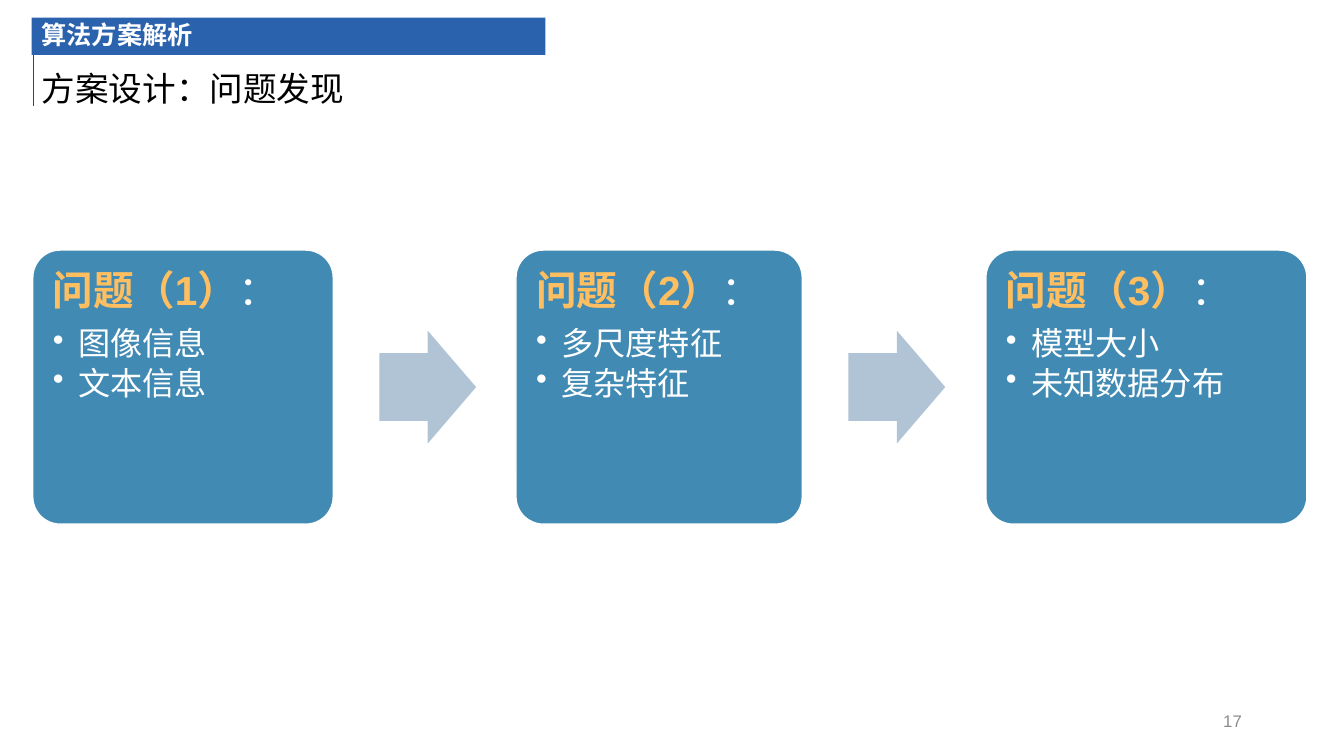
from dataclasses import dataclass

import lxml.etree
import pptx
import pptx.dml.color
import pptx.enum.shapes
import pptx.enum.text
import pptx.oxml.ns
import pptx.util

Pt = pptx.util.Pt
Shapes = pptx.enum.shapes.MSO_SHAPE
Anchor = pptx.enum.text.MSO_ANCHOR
Align = pptx.enum.text.PP_ALIGN
qn = pptx.oxml.ns.qn

LATIN_FONT = "Arial"
CHINESE_FONT = "Noto Sans CJK SC"
WHITE = "FFFFFF"
CARD_TOP, CARD_HEIGHT = 178.6, 195.8
CARD_INSET = 5.75
ARROW_WIDTH, ARROW_HEIGHT = 69.1, 80.6
ARROW_GAP = 33


@dataclass(frozen=True)
class ProblemCard:
    left: float
    width: float
    heading: str
    points: tuple[str, ...]


CARDS = (
    ProblemCard(23.4, 214.6, "问题（1）", ("图像信息", "文本信息")),
    ProblemCard(368.6, 204.5, "问题（2）", ("多尺度特征", "复杂特征")),
    ProblemCard(704.2, 229.3, "问题（3）", ("模型大小", "未知数据分布")),
)


def color(value: str) -> pptx.dml.color.RGBColor:
    return pptx.dml.color.RGBColor.from_string(value)


def add_run(paragraph, text: str, size: float, fill: str,
            bold: bool = False, latin: str = LATIN_FONT) -> None:
    run = paragraph.add_run()
    run.text = text
    run.font.size = Pt(size)
    run.font.bold = bold
    run.font.name = latin
    run.font.color.rgb = color(fill)
    east_asian = lxml.etree.SubElement(run.font._element, qn("a:ea"))
    east_asian.set("typeface", CHINESE_FONT)


def add_block(slide, kind, left: float, top: float, width: float,
              height: float, fill: str, outline: str | None = None):
    shape = slide.shapes.add_shape(kind, Pt(left), Pt(top), Pt(width), Pt(height))
    shape.shadow.inherit = False
    shape.fill.solid()
    shape.fill.fore_color.rgb = color(fill)
    if outline:
        shape.line.color.rgb = color(outline)
        shape.line.width = Pt(1)
    else:
        shape.line.fill.background()
    return shape


def set_frame(shape, anchor, horizontal: float = 7.2, vertical: float = 3.6):
    frame = shape.text_frame
    frame.word_wrap = True
    frame.auto_size = pptx.enum.text.MSO_AUTO_SIZE.NONE
    frame.vertical_anchor = anchor
    frame.margin_left = frame.margin_right = Pt(horizontal)
    frame.margin_top = frame.margin_bottom = Pt(vertical)
    return frame


def add_bullet(paragraph) -> None:
    properties = paragraph._p.get_or_add_pPr()
    properties.set("marL", str(Pt(18)))
    properties.set("indent", str(-Pt(18)))
    lxml.etree.SubElement(properties, qn("a:buChar")).set("char", "•")


def add_card(slide, card: ProblemCard) -> None:
    box = add_block(slide, Shapes.ROUNDED_RECTANGLE, card.left, CARD_TOP,
                    card.width, CARD_HEIGHT, "418AB3", WHITE)
    box.adjustments[0] = 0.1
    label = slide.shapes.add_textbox(
        Pt(card.left + CARD_INSET), Pt(CARD_TOP + CARD_INSET),
        Pt(card.width - 2 * CARD_INSET), Pt(CARD_HEIGHT - 2 * CARD_INSET))
    frame = set_frame(label, Anchor.TOP, 8.6, 8.6)
    heading = frame.paragraphs[0]
    heading.line_spacing = 0.9
    heading.space_after = Pt(10)
    add_run(heading, card.heading, 29, "FFBF61", bold=True)
    add_run(heading, "：", 29, WHITE)
    for point in card.points:
        paragraph = frame.add_paragraph()
        paragraph.level = 1
        paragraph.line_spacing = 0.9
        paragraph.space_after = Pt(3.5)
        add_bullet(paragraph)
        add_run(paragraph, point, 23, WHITE)


def add_arrow(slide, card: ProblemCard) -> None:
    """Place an arrow just right of a card, centred on its height."""
    arrow = add_block(slide, Shapes.RIGHT_ARROW, card.left + card.width + ARROW_GAP,
                      CARD_TOP + (CARD_HEIGHT - ARROW_HEIGHT) / 2,
                      ARROW_WIDTH, ARROW_HEIGHT, "B0C4D6")
    arrow.adjustments[0] = 0.6
    arrow.adjustments[1] = 0.5


def add_header(slide) -> None:
    rule = slide.shapes.add_connector(
        pptx.enum.shapes.MSO_CONNECTOR.STRAIGHT, Pt(24), Pt(17.3), Pt(24), Pt(75.6))
    rule.line.color.rgb = color("0C4BA1")
    rule.line.width = Pt(1)
    lxml.etree.SubElement(rule._element.spPr, qn("a:effectLst"))

    section = add_block(slide, Shapes.RECTANGLE, 22.6, 12.7, 367, 26.6, "2A62AD")
    paragraph = set_frame(section, Anchor.MIDDLE).paragraphs[0]
    paragraph.alignment = Align.LEFT
    paragraph.line_spacing = 0.9
    add_run(paragraph, "算法方案解析", 18, WHITE, bold=True, latin=CHINESE_FONT)

    title = slide.shapes.title
    title.left, title.top = Pt(22.6), Pt(44.6)
    title.width, title.height = Pt(738.7), Pt(36)
    paragraph = set_frame(title, Anchor.TOP).paragraphs[0]
    paragraph.alignment = Align.LEFT
    add_run(paragraph, "方案设计：问题发现", 24, "000000")


def add_page_number(slide) -> None:
    number = slide.shapes.add_textbox(Pt(678.2), Pt(500.4), Pt(216), Pt(28.8))
    paragraph = set_frame(number, Anchor.MIDDLE).paragraphs[0]
    paragraph.alignment = Align.RIGHT
    add_run(paragraph, "17", 12, "8C8C8C")


def main() -> None:
    presentation = pptx.Presentation()
    presentation.slide_width, presentation.slide_height = Pt(960), Pt(540)
    slide = presentation.slides.add_slide(presentation.slide_layouts[5])
    add_header(slide)
    for card in CARDS:
        add_card(slide, card)
    for card in CARDS[:-1]:
        add_arrow(slide, card)
    add_page_number(slide)
    presentation.save("out.pptx")


if __name__ == "__main__":
    main()
